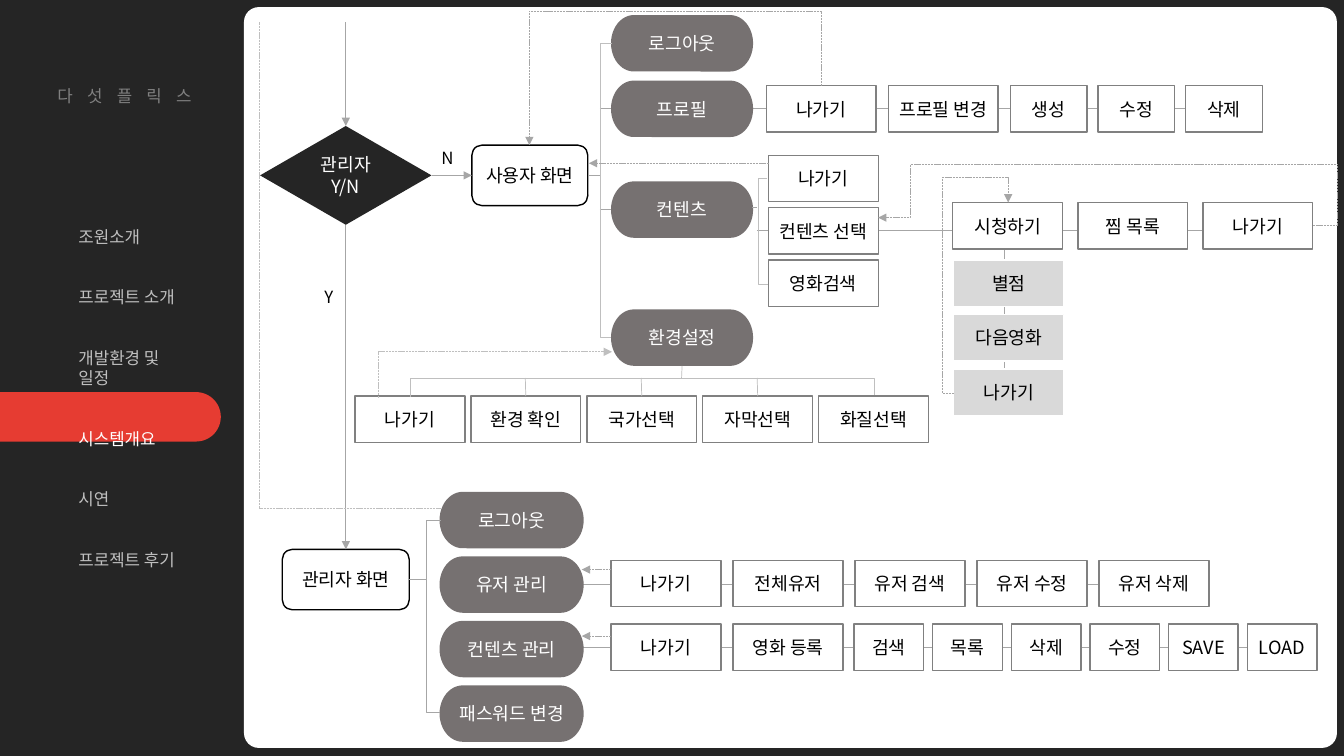
"""Builds the system overview slide with its user and admin screen flowchart."""
import math

from lxml import etree
from pptx import Presentation
from pptx.dml.color import RGBColor
from pptx.enum import dml, shapes, text
from pptx.oxml import ns
from pptx.util import Inches, Pt

KIND = shapes.MSO_SHAPE
TOP, LEFT, BOTTOM, RIGHT = range(4)


def colour(code):
    return RGBColor.from_string(code)


def add_tag(parent, tag, **attributes):
    return etree.SubElement(parent, ns.qn(tag), **attributes)


class Flowchart:
    font = "Noto Sans CJK KR"
    rail = "BFBFBF"
    grey = "A6A6A6"

    def __init__(self, slide):
        self.slide = slide
        self.shapes = slide.shapes

    def letter(self, frame, lines, size, ink, align=text.PP_ALIGN.LEFT, gap=0):
        for index, line in enumerate(lines):
            paragraph = frame.paragraphs[0] if index == 0 else frame.add_paragraph()
            paragraph.text = line
            paragraph.alignment = align
            if index:
                paragraph.space_before = Pt(gap)
            paragraph.font.size = Pt(size)
            paragraph.font.name = self.font
            paragraph.font.color.rgb = colour(ink)
            defaults = paragraph._p.pPr.find(ns.qn("a:defRPr"))
            add_tag(defaults, "a:ea", typeface=self.font)

    def paint(self, shape, fill, edge=None):
        shape.shadow.inherit = False
        shape.fill.solid()
        shape.fill.fore_color.rgb = colour(fill)
        if edge:
            shape.line.color.rgb = colour(edge)
            shape.line.width = Pt(1)
        else:
            shape.line.fill.background()

    def node(self, kind, left, top, width, height, label="", fill="FFFFFF", edge=None, ink="000000"):
        shape = self.shapes.add_shape(kind, *map(Inches, (left, top, width, height)))
        self.paint(shape, fill, edge)
        if label:
            frame = shape.text_frame
            frame.word_wrap = True
            frame.margin_left = frame.margin_right = Inches(0.05)
            frame.vertical_anchor = text.MSO_ANCHOR.MIDDLE
            self.letter(frame, label.split("\n"), 13, ink, text.PP_ALIGN.CENTER)
        return shape

    def steps(self, labels, left, top, width=1.09, across=0, down=0, fill="FFFFFF", edge="808080"):
        return [self.node(KIND.FLOWCHART_PROCESS, left + across * i, top + down * i,
                          width, 0.46, label, fill, edge)
                for i, label in enumerate(labels)]

    def pill(self, label, left, top, width):
        return self.node(KIND.FLOWCHART_TERMINATOR, left, top, width, 0.56, label, "767171", ink="FFFFFF")

    def screen(self, label, left, top, width):
        return self.node(KIND.ROUNDED_RECTANGLE, left, top, width, 0.6, label, edge="000000")

    def note(self, lines, left, top, width, height, size=12, ink="000000", gap=0):
        box = self.shapes.add_textbox(*map(Inches, (left, top, width, height)))
        box.text_frame.word_wrap = True
        self.letter(box.text_frame, lines, size, ink, gap=gap)
        return box

    def stroke(self, connector, ink, dashed, arrow):
        connector.line.color.rgb = colour(ink)
        connector.line.width = Pt(0.5)
        if dashed:
            connector.line.dash_style = dml.MSO_LINE.SQUARE_DOT
        if arrow:
            add_tag(connector.line._get_or_add_ln(), "a:tailEnd", type="triangle")
        add_tag(connector._element.spPr, "a:effectLst")

    def line(self, begin, end, ink=grey, dashed=False, arrow=False, source=None, target=None):
        connector = self.shapes.add_connector(
            shapes.MSO_CONNECTOR.STRAIGHT, *map(Inches, (*begin, *end)))
        if source:
            connector.begin_connect(*source)
        if target:
            connector.end_connect(*target)
        self.stroke(connector, ink, dashed, arrow)

    def elbow(self, begin, end, bends, ink=grey, dashed=False, arrow=False, upright=False):
        connector = self.shapes.add_connector(
            shapes.MSO_CONNECTOR.ELBOW, *map(Inches, (*begin, *end)))
        spans = [end[axis] - begin[axis] for axis in (0, 1)]
        if upright:
            run, rise = abs(spans[1]), abs(spans[0])
            connector.left = Inches((begin[0] + end[0] - run) / 2)
            connector.top = Inches((begin[1] + end[1] - rise) / 2)
            connector.width, connector.height = Inches(run), Inches(rise)
            frame = connector._element.spPr.find(ns.qn("a:xfrm"))
            frame.set("rot", "5400000")
            frame.set("flipH", str(int(spans[1] < 0)))
            frame.set("flipV", str(int(spans[0] > 0)))
        outline = connector._element.spPr.find(ns.qn("a:prstGeom"))
        outline.set("prst", f"bentConnector{len(bends) + 2}")
        guides = outline.find(ns.qn("a:avLst"))
        for index, bend in enumerate(bends):
            axis = (index + upright) % 2
            share = round((bend - begin[axis]) / spans[axis] * 100000)
            add_tag(guides, "a:gd", name=f"adj{index + 1}", fmla=f"val {share}")
        self.stroke(connector, ink, dashed, arrow)

    def menu_tab(self, top, width, height):
        radius = height / 2
        turns = [math.radians(angle) for angle in range(-90, 91, 6)]
        curve = [(Inches(width - radius + radius * math.cos(turn)),
                  Inches(top + radius + radius * math.sin(turn))) for turn in turns]
        builder = self.shapes.build_freeform(0, Inches(top))
        builder.add_line_segments(curve + [(0, Inches(top + height))], close=True)
        self.paint(builder.convert_to_shape(), "E63C32")

    def heading(self, words, left, top, width, height):
        title = self.shapes.title
        title.left, title.top, title.width, title.height = map(Inches, (left, top, width, height))
        frame = title.text_frame
        frame.auto_size = text.MSO_AUTO_SIZE.NONE
        frame.vertical_anchor = text.MSO_ANCHOR.TOP
        self.letter(frame, [words], 12, "808080")
        frame.paragraphs[0].runs[0]._r.get_or_add_rPr().set("spc", "375")


def main():
    deck = Presentation()
    deck.slide_width, deck.slide_height = Inches(13.33), Inches(7.5)
    slide = deck.slides.add_slide(deck.slide_layouts[5])
    slide.background.fill.solid()
    slide.background.fill.fore_color.rgb = colour("252525")
    chart = Flowchart(slide)

    panel = chart.node(KIND.ROUNDED_RECTANGLE, 2.42, 0.07, 10.84, 7.35)
    panel.adjustments[0] = 0.02
    chart.heading("다 섯 플 릭 스", 0.47, 0.8, 1.78, 0.3)
    chart.menu_tab(3.89, 2.19, 0.49)
    menu = chart.note(["조원소개", "프로젝트 소개", "개발환경 및 일정", "시스템개요", "시연", "프로젝트 후기"],
                      0.68, 2.2, 1.33, 3.33, ink="BFBFBF", gap=28.8)
    menu.text_frame.paragraphs[3].font.color.rgb = colour("FFFFFF")

    for begin, end in [((4.77, 6.42), (12.48, 6.42)), ((9.96, 2.43), (9.96, 4.1)),
                       ((7.51, 2.29), (12.22, 2.29)), ((7.46, 1.08), (12.08, 1.08)),
                       ((5.95, 1.08), (6.11, 1.08)), ((4.36, 5.8), (11.77, 5.8))]:
        chart.line(begin, end)

    admin = chart.screen("관리자 화면", 2.8, 5.45, 1.26)
    decision = chart.node(KIND.FLOWCHART_DECISION, 2.58, 1.25, 1.7, 0.98, "관리자\nY/N", "252525", ink="FFFFFF")
    user = chart.screen("사용자 화면", 4.68, 1.44, 1.15)
    chart.note(["N"], 4.28, 1.42, 0.32, 0.3)
    chart.note(["Y"], 3.12, 2.8, 0.3, 0.3)

    _, _, contents, settings = [
        chart.pill(label, 6.06, top, 1.41)
        for label, top in [("로그아웃", 0.15), ("프로필", 0.8), ("컨텐츠", 1.8), ("환경설정", 3.07)]]
    for index, label in enumerate(["로그아웃", "유저 관리", "컨텐츠 관리", "패스워드 변경"]):
        chart.pill(label, 4.36, 4.88 + 0.64 * index, 1.43)

    chart.steps(["나가기", "프로필 변경"], 7.6, 0.85, across=1.21)
    chart.steps(["생성", "수정", "삭제"], 10.02, 0.85, 0.76, across=0.87)
    chart.steps(["나가기", "컨텐츠 선택", "영화검색"], 7.62, 1.54, down=0.52)
    chart.steps(["시청하기", "찜 목록", "나가기"], 9.45, 2.01, across=1.24)
    chart.steps(["별점", "다음영화", "나가기"], 9.46, 2.58, down=0.54, fill="D9D9D9", edge="FFFFFF")
    options = chart.steps(["나가기", "환경 확인", "국가선택", "자막선택", "화질선택"], 3.52, 3.93, across=1.15)
    chart.steps(["나가기", "전체유저", "유저 검색", "유저 수정", "유저 삭제"], 6.06, 5.56, across=1.21)
    chart.steps(["나가기", "영화 등록"], 6.06, 6.19, across=1.21)
    chart.steps(["검색", "목록", "삭제", "수정", "SAVE", "LOAD"], 8.47, 6.19, 0.69, across=0.78)

    chart.line((3.43, 0.22), (3.43, 1.25), arrow=True, target=(decision, TOP))
    chart.line((4.28, 1.74), (4.68, 1.74), arrow=True, source=(decision, RIGHT), target=(user, LEFT))
    chart.line((3.43, 2.23), (3.43, 5.45), arrow=True, source=(decision, BOTTOM), target=(admin, TOP))
    chart.line((5.83, 1.74), (5.95, 1.74), source=(user, RIGHT))
    chart.line((5.95, 2.08), (6.06, 2.08), target=(contents, LEFT))
    chart.line((7.46, 2.06), (7.51, 2.06))
    chart.line((4.06, 5.75), (4.23, 5.75), source=(admin, RIGHT))
    chart.line((6.76, 3.63), (6.76, 3.75), chart.rail, source=(settings, BOTTOM))
    for index, option in enumerate(options[1:4], 1):
        x = 4.06 + 1.15 * index
        chart.line((x, 3.93), (x, 3.75), chart.rail, source=(option, TOP))

    chart.elbow((4.37, 5.16), (4.36, 7.07), [4.23])
    chart.elbow((6.07, 0.43), (6.06, 3.35), [5.95], chart.rail)
    chart.elbow((7.61, 1.77), (7.62, 2.82), [7.52], chart.rail)
    chart.elbow((4.07, 3.94), (8.67, 3.92), [3.75], chart.rail, upright=True)
    chart.elbow((8.15, 0.85), (5.25, 1.44), [0.11], dashed=True, arrow=True, upright=True)
    chart.elbow((13.02, 2.24), (8.71, 2.16), [13.27, 1.63, 9.03], dashed=True, arrow=True)
    chart.elbow((9.46, 3.9), (10, 2.01), [9.35, 1.76], dashed=True, arrow=True)
    chart.elbow((3.76, 3.94), (6.07, 3.49), [3.75], chart.rail, dashed=True, arrow=True)
    for begin, end in [((7.63, 1.62), (5.84, 1.62)), ((6.06, 5.65), (5.77, 5.65)), ((6.06, 6.31), (5.77, 6.31))]:
        chart.line(begin, end, dashed=True, arrow=True)
    chart.line((4.37, 5.04), (2.57, 5.04), chart.rail, dashed=True)
    chart.line((2.57, 5.04), (2.57, 0.22), chart.rail, dashed=True)
    deck.save("out.pptx")


if __name__ == "__main__":
    main()
